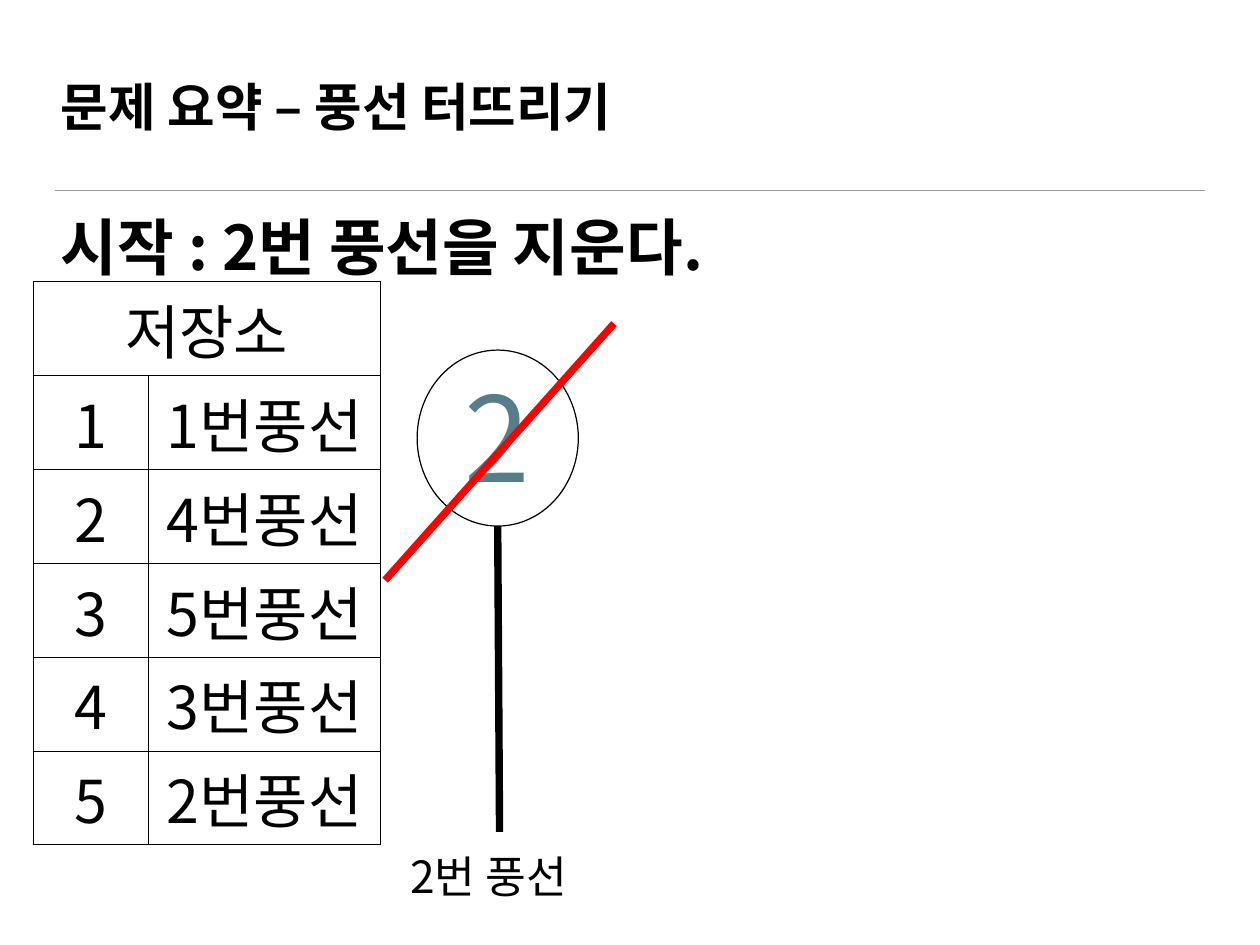
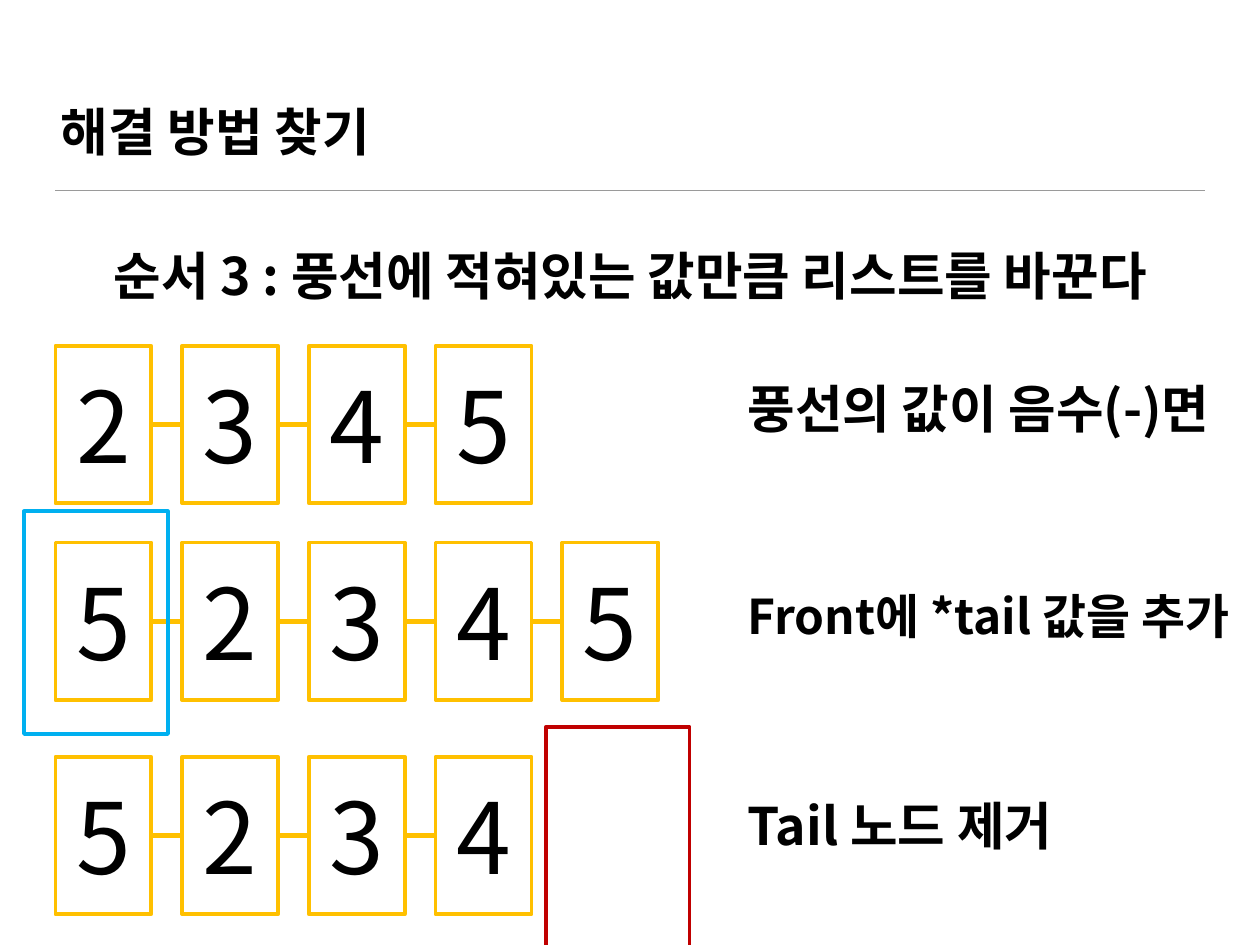
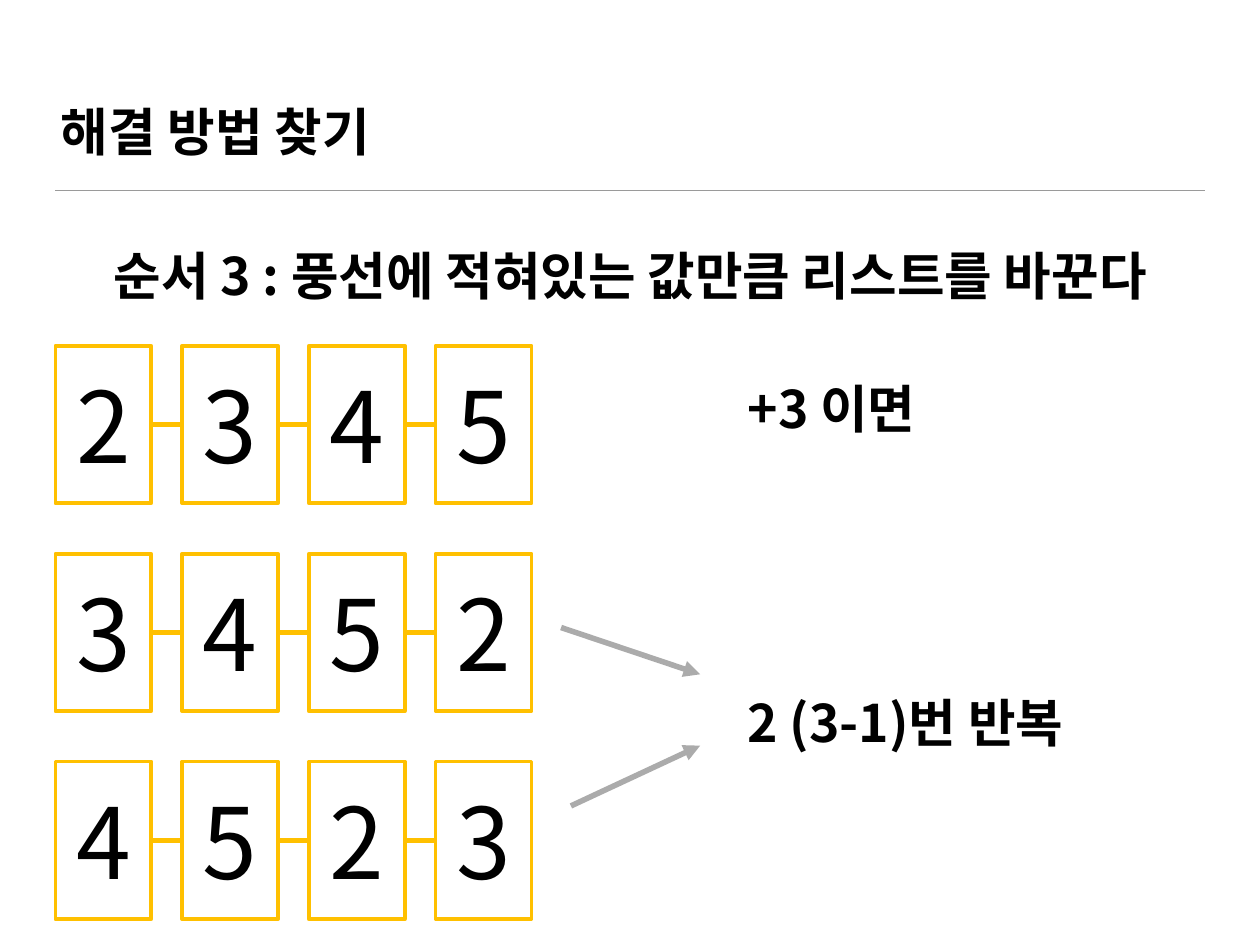
from lxml import etree
from pptx import Presentation
from pptx.dml.color import RGBColor
from pptx.enum import shapes, text
from pptx.oxml.ns import qn
from pptx.util import Pt

FONT = "Noto Sans CJK KR"
BLACK = RGBColor(0x00, 0x00, 0x00)
RULE_GRAY = RGBColor(0x9A, 0x9A, 0x9A)
ARROW_GRAY = RGBColor(0xAB, 0xAB, 0xAB)
TEAL = RGBColor(0x55, 0x7E, 0x8A)
AMBER = RGBColor(0xFF, 0xC0, 0x00)
SKY = RGBColor(0x00, 0xB0, 0xF0)
DARK_RED = RGBColor(0xC0, 0x00, 0x00)
RED = RGBColor(0xFF, 0x00, 0x00)

LEFT, CENTER = text.PP_ALIGN.LEFT, text.PP_ALIGN.CENTER
TOP, MIDDLE, BOTTOM = (text.MSO_ANCHOR.TOP, text.MSO_ANCHOR.MIDDLE,
                       text.MSO_ANCHOR.BOTTOM)
RECT, OVAL = shapes.MSO_SHAPE.RECTANGLE, shapes.MSO_SHAPE.OVAL

INSET = 4.5
MARGIN, CONTENT_W = 45, 934
TITLE_H, TITLE_SIZE = 110, 42
RULE_Y = 155
NODE_W, NODE_H, NODE_PITCH = 78, 128, 103
NOTE_X, NOTE_W, NOTE_H = 603, 421, 76

STORE_TITLE = "저장소"
STORE = [("1", "1번풍선"), ("2", "4번풍선"), ("3", "5번풍선"),
         ("4", "3번풍선"), ("5", "2번풍선")]
STORE_COLS, STORE_ROW_H = (94, 188), 76.3

# Rows are (top, node values); notes are (top, text, size);
# frames are (left, top, colour); arrows are (x1, y1, x2, y2).
LIST_SLIDES = [
    {"rows": [(281, "2345"), (441, "52345"), (615, "5234")],
     "notes": [(285, "풍선의 값이 음수(-)면", 42),
               (452, "Front에 *tail 값을 추가", 38.9),
               (624, "Tail 노드 제거", 42)],
     "frames": [(19.5, 415.5, SKY), (443.5, 591, DARK_RED)],
     "arrows": []},
    {"rows": [(281, "2345"), (450, "3452"), (619, "4523")],
     "notes": [(285, "+3 이면", 42), (540, "2 (3-1)번 반복", 42)],
     "frames": [],
     "arrows": [(456, 510, 569, 548), (464, 655, 569, 606)]},
]


def write(tf, words, size, color=BLACK, bold=False, align=LEFT, spacing=None):
    tf.text = words
    p = tf.paragraphs[0]
    p.alignment = align
    if spacing:
        p.line_spacing = spacing
    for r in p.runs:
        f = r.font
        f.name, f.size, f.bold, f.color.rgb = FONT, Pt(size), bold, color
        ea = etree.SubElement(r._r.get_or_add_rPr(), qn("a:ea"))
        ea.set("typeface", FONT)


def set_frame(tf, anchor, wrap=True):
    tf.word_wrap, tf.vertical_anchor = wrap, anchor
    tf.margin_left = tf.margin_right = Pt(INSET)
    tf.margin_top = tf.margin_bottom = Pt(INSET)


def add_text(s, x, y, w, h, words, size, anchor=BOTTOM, wrap=True, **style):
    tf = s.shapes.add_textbox(Pt(x), Pt(y), Pt(w), Pt(h)).text_frame
    set_frame(tf, anchor, wrap)
    write(tf, words, size, **style)


def add_outline(s, kind, x, y, w, h, color, width):
    sp = s.shapes.add_shape(kind, Pt(x), Pt(y), Pt(w), Pt(h))
    sp.shadow.inherit = False
    sp.fill.background()
    sp.line.color.rgb, sp.line.width = color, Pt(width)
    return sp


def add_line(s, x1, y1, x2, y2, color, width, arrow=False):
    c = s.shapes.add_connector(shapes.MSO_CONNECTOR.STRAIGHT,
                               Pt(x1), Pt(y1), Pt(x2), Pt(y2))
    c.line.color.rgb, c.line.width = color, Pt(width)
    if arrow:
        ln = c.line._get_or_add_ln()
        etree.SubElement(ln, qn("a:tailEnd")).set("type", "triangle")
    etree.SubElement(c._element.spPr, qn("a:effectLst"))
    return c


def add_slide(prs, title, title_y):
    s = prs.slides.add_slide(prs.slide_layouts[6])
    add_line(s, MARGIN, RULE_Y, MARGIN + CONTENT_W, RULE_Y, RULE_GRAY, 1)
    add_text(s, MARGIN, title_y, CONTENT_W, TITLE_H, title, TITLE_SIZE,
             bold=True)
    return s


def style_cell(cell, words):
    cell.vertical_anchor = MIDDLE
    cell.margin_left = cell.margin_right = Pt(3)
    cell.margin_top = cell.margin_bottom = Pt(3)
    write(cell.text_frame, words, 48, align=CENTER)
    tcPr = cell._tc.get_or_add_tcPr()
    for side in ("lnL", "lnR", "lnT", "lnB"):
        ln = etree.SubElement(tcPr, qn("a:" + side), w=str(Pt(1)))
        fill = etree.SubElement(ln, qn("a:solidFill"))
        etree.SubElement(fill, qn("a:srgbClr"), val=str(BLACK))
    cell.fill.background()


def add_store(s, x, y):
    rows = [(STORE_TITLE, "")] + STORE
    table = s.shapes.add_table(
        len(rows), len(STORE_COLS), Pt(x), Pt(y), Pt(sum(STORE_COLS)),
        Pt(STORE_ROW_H * len(rows))).table
    table.first_row = table.horz_banding = False
    for col, width in zip(table.columns, STORE_COLS):
        col.width = Pt(width)
    for i, row in enumerate(rows):
        table.rows[i].height = Pt(STORE_ROW_H)
        for j, words in enumerate(row):
            style_cell(table.cell(i, j), words)
    table.cell(0, 0).merge(table.cell(0, 1))


def add_nodes(s, y, values):
    """Draw one linked list, each node joined to the one before it."""
    last = None
    for i, value in enumerate(values):
        node = add_outline(s, RECT, MARGIN + i * NODE_PITCH, y,
                           NODE_W, NODE_H, AMBER, 3)
        set_frame(node.text_frame, MIDDLE)
        write(node.text_frame, value, 80, align=CENTER)
        if last is not None:
            link = add_line(s, 0, 0, 0, 0, AMBER, 4.5)
            link.begin_connect(last, 3)
            link.end_connect(node, 1)
        last = node


def build_balloon_slide(prs):
    s = add_slide(prs, "문제 요약 – 풍선 터뜨리기", 6)
    add_store(s, 27, 229)
    add_text(s, 370, 305, 69, 124, "2", 96, anchor=TOP, wrap=False,
             color=TEAL, align=CENTER, spacing=0.9)
    add_outline(s, OVAL, 339, 284.5, 131, 143, BLACK, 1)
    add_line(s, 404.5, 427.5, 406, 676, BLACK, 6)
    add_text(s, 309, 685.5, 176, 52, "2번 풍선", 36, anchor=MIDDLE,
             align=CENTER)
    add_text(s, MARGIN, 165.5, 821, 68, "시작 : 2번 풍선을 지운다.", 50,
             anchor=MIDDLE, bold=True)
    add_line(s, 499, 263, 313, 471.5, RED, 6)


def build_list_slide(prs, content):
    s = add_slide(prs, "해결 방법 찾기", 26)
    add_text(s, MARGIN, 177, CONTENT_W, NOTE_H,
             "순서 3 : 풍선에 적혀있는 값만큼 리스트를 바꾼다", TITLE_SIZE,
             bold=True, align=CENTER)
    for y, values in content["rows"]:
        add_nodes(s, y, values)
    for y, words, size in content["notes"]:
        add_text(s, NOTE_X, y, NOTE_W, NOTE_H, words, size, bold=True,
                 spacing=0.82)
    for x, y, color in content["frames"]:
        add_outline(s, RECT, x, y, 117, 181, color, 3)
    for ends in content["arrows"]:
        add_line(s, *ends, ARROW_GRAY, 4.5, arrow=True)


def main():
    prs = Presentation()
    prs.slide_width, prs.slide_height = Pt(1024), Pt(768)
    build_balloon_slide(prs)
    for content in LIST_SLIDES:
        build_list_slide(prs, content)
    prs.save("out.pptx")


if __name__ == "__main__":
    main()
